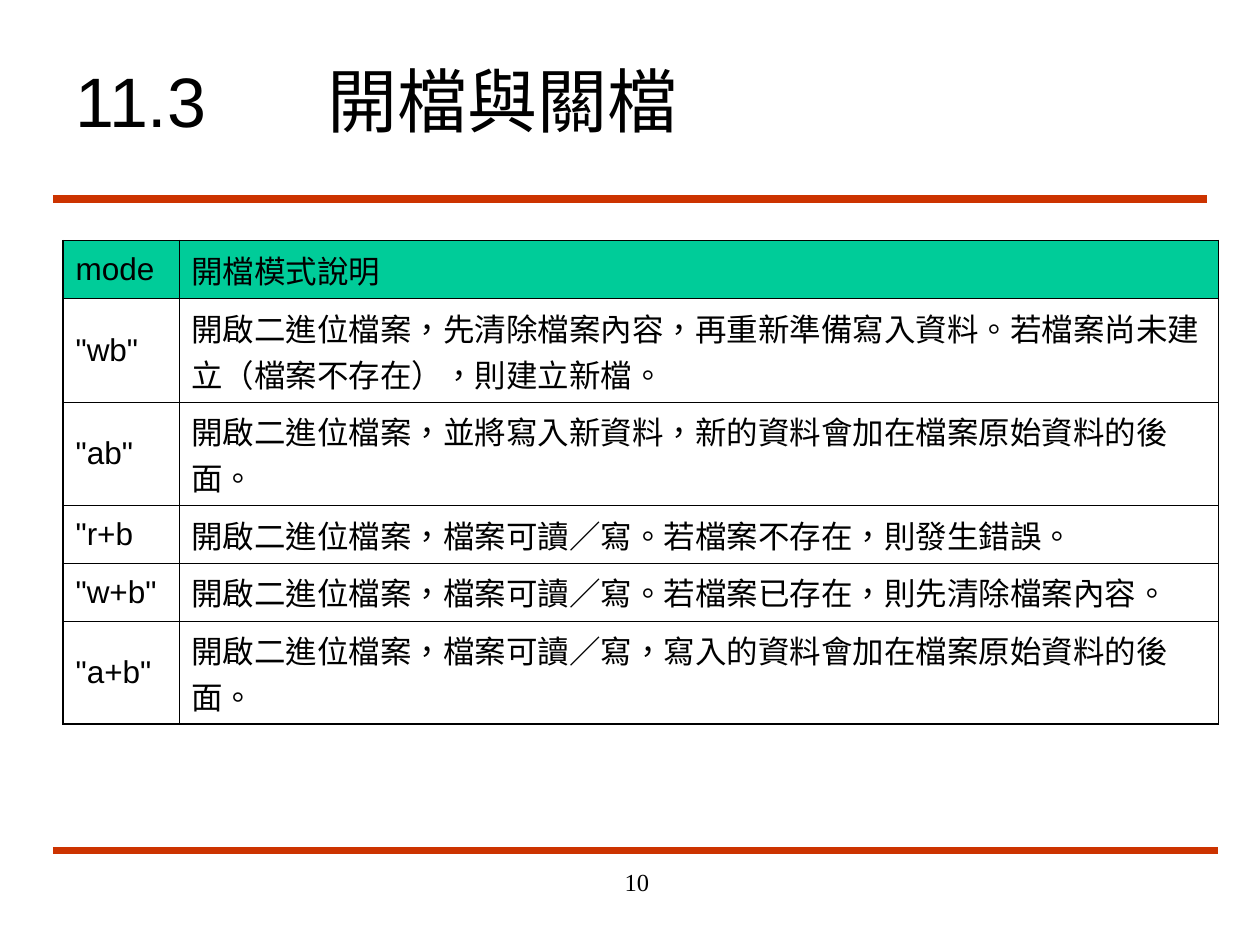
from lxml import etree
from pptx import Presentation
from pptx.dml.color import RGBColor
from pptx.enum.lang import MSO_LANGUAGE_ID
from pptx.enum.shapes import MSO_CONNECTOR
from pptx.enum.text import MSO_ANCHOR, PP_ALIGN
from pptx.oxml.ns import qn
from pptx.util import Inches, Pt

CHINESE = MSO_LANGUAGE_ID.TRADITIONAL_CHINESE
STRAIGHT = MSO_CONNECTOR.STRAIGHT
TOP, MIDDLE = MSO_ANCHOR.TOP, MSO_ANCHOR.MIDDLE
LEFT, RIGHT = PP_ALIGN.LEFT, PP_ALIGN.RIGHT

BLACK, RED, GREEN = "000000", "CC3300", "00CC99"
OUTER, INNER = 1.08, 0.45
COLUMNS = [0.92, 8.25]
ONE_LINE, TWO_LINES = 0.46, 0.82
ROWS = [ONE_LINE, TWO_LINES, TWO_LINES, ONE_LINE, ONE_LINE, TWO_LINES]
MODES = [
    ("mode", "開檔模式說明"),
    ('"wb"', "開啟二進位檔案，先清除檔案內容，再重新準備寫入資料。若檔案尚未建立（檔案不存在），則建立新檔。"),
    ('"ab"', "開啟二進位檔案，並將寫入新資料，新的資料會加在檔案原始資料的後面。"),
    ('"r+b', "開啟二進位檔案，檔案可讀／寫。若檔案不存在，則發生錯誤。"),
    ('"w+b"', "開啟二進位檔案，檔案可讀／寫。若檔案已存在，則先清除檔案內容。"),
    ('"a+b"', "開啟二進位檔案，檔案可讀／寫，寫入的資料會加在檔案原始資料的後面。"),
]


def color(value):
    return RGBColor.from_string(value)


def add_run(p, text, size, font):
    p._p.get_or_add_pPr().set("hangingPunct", "0")
    r = p.add_run()
    r.text = text
    r.font.size = Pt(size)
    r.font.name = font
    r.font.language_id = CHINESE
    r.font.color.rgb = color(BLACK)


def add_text(s, box, text, size, font, anchor=TOP, align=LEFT, tabs=()):
    sp = s.shapes.add_textbox(*map(Inches, box))
    tf = sp.text_frame
    tf.word_wrap = True
    tf.vertical_anchor = anchor
    p = tf.paragraphs[0]
    p.alignment = align
    if tabs:
        tab_list = etree.SubElement(p._p.get_or_add_pPr(), qn("a:tabLst"))
        for pos in tabs:
            etree.SubElement(tab_list, qn("a:tab"), pos=str(Inches(pos)), algn="l")
    add_run(p, text, size, font)


def add_rule(s, left, right, y):
    line = s.shapes.add_connector(
        STRAIGHT, Inches(left), Inches(y), Inches(right), Inches(y))
    line.line.color.rgb = color(RED)
    line.line.width = Pt(4.5)
    etree.SubElement(line._element.spPr, qn("a:effectLst"))


def set_borders(cell, widths):
    tc_pr = cell._tc.get_or_add_tcPr()
    for side, width in widths.items():
        ln = etree.SubElement(tc_pr, qn(f"a:ln{side}"), w=str(Pt(width)))
        fill = etree.SubElement(ln, qn("a:solidFill"))
        etree.SubElement(fill, qn("a:srgbClr"), val=BLACK)


def add_mode_table(s, left, top):
    table = s.shapes.add_table(
        len(ROWS), len(COLUMNS), Inches(left), Inches(top),
        Inches(sum(COLUMNS)), Inches(sum(ROWS))).table
    table.first_row = False
    table.horz_banding = False
    for column, width in zip(table.columns, COLUMNS):
        column.width = Inches(width)
    last_row, last_col = len(ROWS) - 1, len(COLUMNS) - 1
    for i, texts in enumerate(MODES):
        table.rows[i].height = Inches(ROWS[i])
        for j, text in enumerate(texts):
            cell = table.cell(i, j)
            cell.vertical_anchor = MIDDLE
            set_borders(cell, {
                "L": OUTER if j == 0 else INNER,
                "R": OUTER if j == last_col else INNER,
                "T": OUTER if i == 0 else INNER,
                "B": OUTER if i == last_row else INNER,
            })
            if i == 0:
                cell.fill.solid()
                cell.fill.fore_color.rgb = color(GREEN)
            else:
                cell.fill.background()
            add_run(cell.text_frame.paragraphs[0], text, 18, "Arial")


def add_header(s, left, top, width):
    add_rule(s, left, left + width, top + 1.25)
    add_text(s, (left + 0.08, top, 9, 0.92), "11.3\t開檔與關檔", 40, "Arial",
             anchor=MIDDLE, tabs=range(1, 8))


def add_footer(s, left, top, width):
    add_rule(s, left, left + width, top)
    add_text(s, (left + 2.75, top + 0.08, 2.08, 0.5), "10", 14,
             "Times New Roman", align=RIGHT)


def main():
    prs = Presentation()
    prs.slide_width, prs.slide_height = Inches(10), Inches(7.5)
    s = prs.slides.add_slide(prs.slide_layouts[6])
    add_header(s, 0.42, 0.33, 9.16)
    add_mode_table(s, 0.5, 1.91)
    add_footer(s, 0.42, 6.75, 9.25)
    prs.save("out.pptx")


if __name__ == "__main__":
    main()
